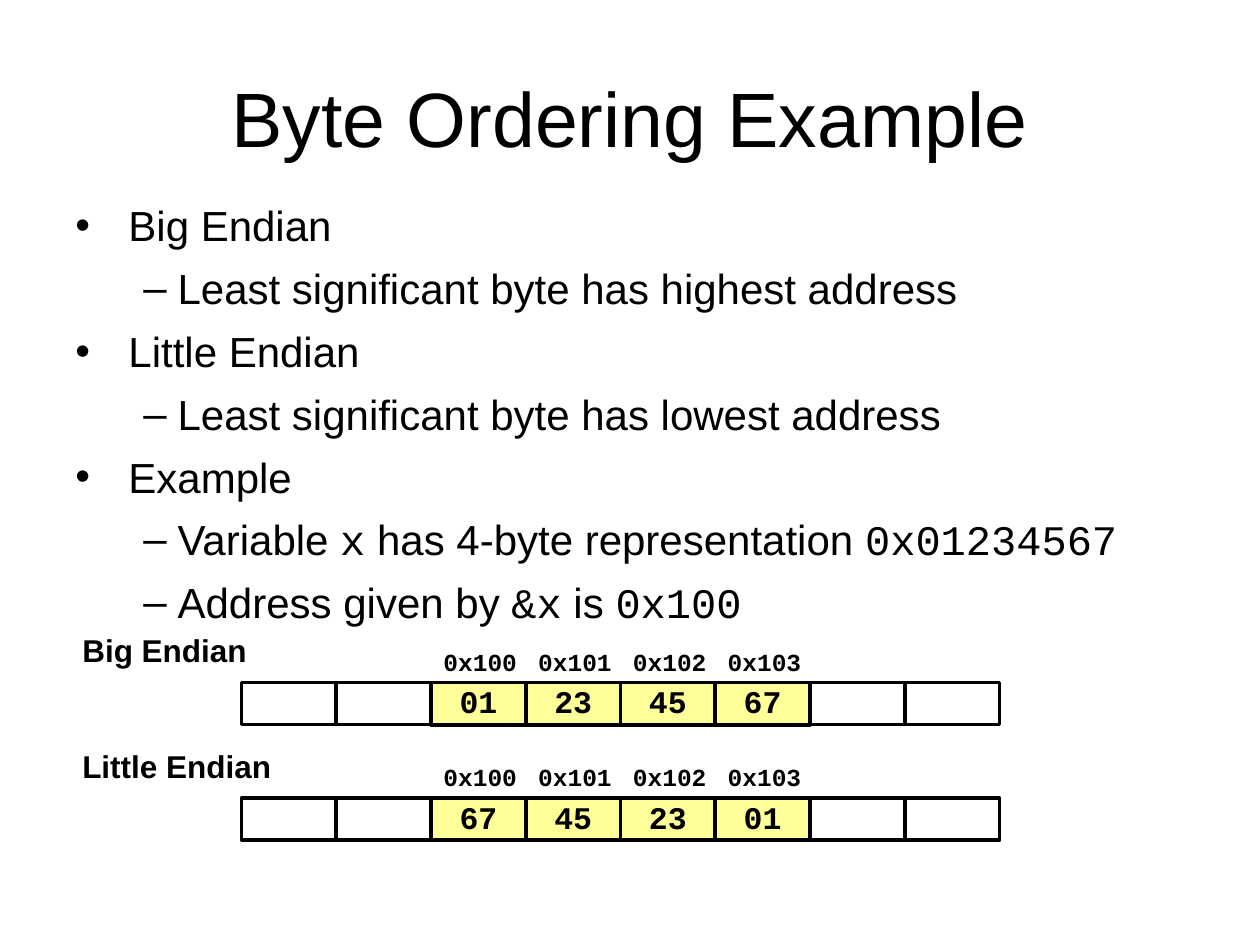
from dataclasses import dataclass

from pptx import Presentation
from pptx.dml.color import RGBColor
from pptx.enum.shapes import MSO_SHAPE
from pptx.enum.text import MSO_ANCHOR, MSO_AUTO_SIZE, PP_ALIGN
from pptx.util import Cm, Pt

RECTANGLE = MSO_SHAPE.RECTANGLE
MIDDLE, TOP = MSO_ANCHOR.MIDDLE, MSO_ANCHOR.TOP
NO_FIT = MSO_AUTO_SIZE.NONE
LEFT, CENTER = PP_ALIGN.LEFT, PP_ALIGN.CENTER


@dataclass(frozen=True)
class Theme:
    """Colours, fonts and type sizes of the slide."""
    ink: RGBColor = RGBColor(0, 0, 0)
    paper: RGBColor = RGBColor(255, 255, 255)
    highlight: RGBColor = RGBColor(255, 255, 153)
    sans: str = "Arial"
    mono: str = "Courier New"
    title: Pt = Pt(44)
    body: Pt = Pt(24)
    label: Pt = Pt(18)
    address: Pt = Pt(14)


TITLE = "Byte Ordering Example"
POINTS = [
    (0, ["Big Endian"]),
    (1, ["Least significant byte has highest address"]),
    (0, ["Little Endian"]),
    (1, ["Least significant byte has lowest address"]),
    (0, ["Example"]),
    (1, ["Variable ", "x", " has 4-byte representation ", "0x01234567"]),
    (1, ["Address given by ", "&x", " is ", "0x100"]),
]
INDENTS = [(Cm(1.07), Cm(-1.07)), (Cm(2.06), Cm(-0.69))]
ADDRESSES = ["0x100", "0x101", "0x102", "0x103"]
ORDERINGS = [("Big Endian", ["01", "23", "45", "67"]),
             ("Little Endian", ["67", "45", "23", "01"])]

MEMORY_LEFT, MEMORY_TOP, ROW_PITCH = 4.87, 13.76, 2.33
CELL_WIDTH, CELL_HEIGHT = 1.91, 0.85
FIRST_BYTE, CELL_COUNT = 2, 8


def assign(target, values):
    """Set each named attribute of the target."""
    for name, value in values.items():
        setattr(target, name, value)


class SlideBuilder:
    """Holds the theme and the current slide."""

    def __init__(self, theme, slide):
        self.theme = theme
        self.slide = slide

    def place(self, placeholder, left, top, width, height):
        """Move and size a placeholder."""
        assign(placeholder, {"left": Cm(left), "top": Cm(top),
                             "width": Cm(width), "height": Cm(height)})

    def style(self, font, size, family, bold=False):
        """Format a font in the ink colour."""
        assign(font, {"size": size, "name": family, "bold": bold})
        font.color.rgb = self.theme.ink

    def margins(self, frame, side, edge):
        """Set the insets of a text frame."""
        assign(frame, {"margin_left": Cm(side), "margin_right": Cm(side),
                       "margin_top": Cm(edge), "margin_bottom": Cm(edge)})

    def title(self, text):
        """Fill the title placeholder."""
        heading = self.slide.shapes.title
        self.place(heading, 1.27, 0.76, 22.86, 3.18)
        frame = heading.text_frame
        frame.text = text
        assign(frame, {"vertical_anchor": MIDDLE, "auto_size": NO_FIT})
        self.margins(frame, 0, 0)
        paragraph = frame.paragraphs[0]
        paragraph.alignment = CENTER
        self.style(paragraph.runs[0].font, self.theme.title, self.theme.sans)

    def points(self, points):
        """Fill the body placeholder, with code in every second run."""
        body = self.slide.placeholders[1]
        self.place(body, 1.27, 3.9, 22.86, 12.48)
        frame = body.text_frame
        assign(frame, {"vertical_anchor": TOP, "auto_size": NO_FIT})
        self.margins(frame, 0.25, 0.13)
        families = (self.theme.sans, self.theme.mono)
        for index, (level, pieces) in enumerate(points):
            paragraph = frame.add_paragraph() if index else frame.paragraphs[0]
            assign(paragraph, {"level": level,
                               "space_before": Pt(7.1 if index else 0)})
            margin, indent = INDENTS[level]
            properties = paragraph._p.get_or_add_pPr()
            properties.set("marL", str(margin))
            properties.set("indent", str(indent))
            for position, piece in enumerate(pieces):
                run = paragraph.add_run()
                run.text = piece
                self.style(run.font, self.theme.body, families[position % 2])

    def label(self, text, left, top):
        """Add the name of a byte ordering."""
        caption = self.slide.shapes.add_textbox(
            Cm(left), Cm(top), Cm(4.95), Cm(0.86))
        frame = caption.text_frame
        frame.word_wrap = True
        self.margins(frame, 0.18, 0.08)
        paragraph = frame.paragraphs[0]
        paragraph.text = text
        paragraph.line_spacing = 0.95
        self.style(paragraph.runs[0].font, self.theme.label, self.theme.sans, True)

    def cell(self, group, column, top, fill, border=None):
        """Add one rectangle of the memory grid."""
        box = group.shapes.add_shape(
            RECTANGLE, Cm(MEMORY_LEFT + column * CELL_WIDTH), Cm(top),
            Cm(CELL_WIDTH), Cm(CELL_HEIGHT))
        box.shadow.inherit = False
        box.fill.solid()
        box.fill.fore_color.rgb = fill
        if border is None:
            box.line.fill.background()
        else:
            box.line.color.rgb = self.theme.ink
            box.line.width = border
        return box

    def cell_text(self, box, text, size, side, paragraph_format):
        """Write bold code in a cell."""
        frame = box.text_frame
        assign(frame, {"word_wrap": False, "vertical_anchor": MIDDLE})
        self.margins(frame, side, 0.13)
        paragraph = frame.paragraphs[0]
        paragraph.text = text
        assign(paragraph, paragraph_format)
        self.style(paragraph.runs[0].font, size, self.theme.mono, True)

    def memory(self, values, top):
        """Add a row of memory with addresses above its bytes."""
        theme = self.theme
        surroundings = self.slide.shapes.add_group_shape()
        for column, address in enumerate(ADDRESSES, FIRST_BYTE):
            box = self.cell(surroundings, column, top - CELL_HEIGHT, theme.paper)
            self.cell_text(box, address, theme.address, 0.25, {"alignment": LEFT})
        byte_columns = range(FIRST_BYTE, FIRST_BYTE + len(values))
        for column in range(CELL_COUNT):
            if column not in byte_columns:
                self.cell(surroundings, column, top, theme.paper, Pt(2))
        stored = self.slide.shapes.add_group_shape()
        for column, value in zip(byte_columns, values):
            box = self.cell(stored, column, top, theme.highlight, Pt(2.25))
            self.cell_text(box, value, theme.label, 0.13,
                           {"alignment": CENTER, "line_spacing": 0.9})


def main():
    """Build and save the slide."""
    deck = Presentation()
    assign(deck, {"slide_width": Cm(25.4), "slide_height": Cm(19.05)})
    builder = SlideBuilder(Theme(), deck.slides.add_slide(deck.slide_layouts[1]))
    builder.title(TITLE)
    builder.points(POINTS)
    for row, (ordering, values) in enumerate(ORDERINGS):
        top = MEMORY_TOP + row * ROW_PITCH
        builder.memory(values, top)
        builder.label(ordering, 1.48, top - 1.06)
    deck.save("out.pptx")


if __name__ == "__main__":
    main()
